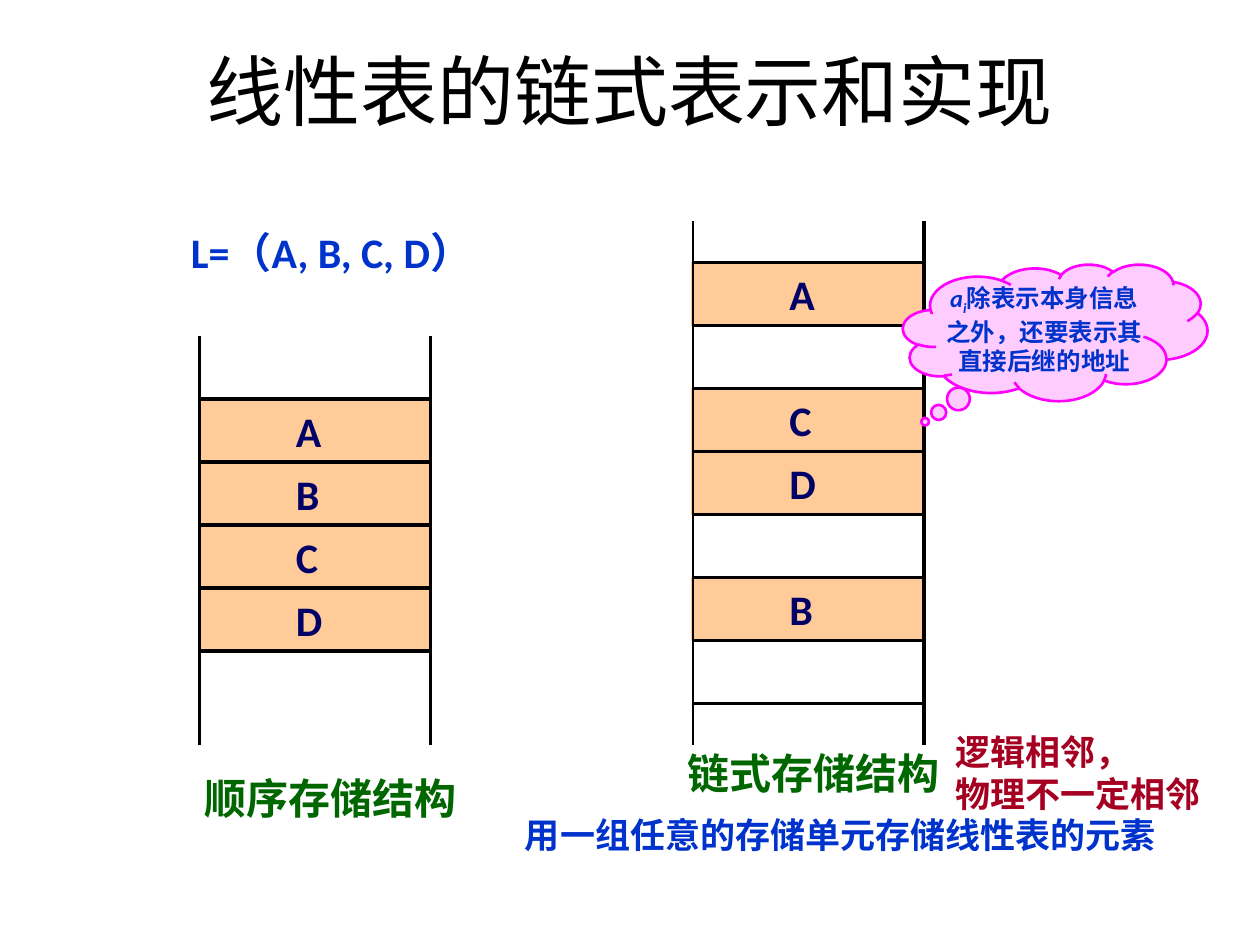
from dataclasses import dataclass

from lxml import etree
from pptx import Presentation
from pptx import util as u
from pptx.dml.color import RGBColor
from pptx.enum import shapes, text
from pptx.oxml import ns

BLACK = RGBColor(0x00, 0x00, 0x00)
NAVY = RGBColor(0x00, 0x00, 0x66)
BLUE = RGBColor(0x00, 0x33, 0xCC)
GREEN = RGBColor(0x00, 0x66, 0x00)
CRIMSON = RGBColor(0xA5, 0x00, 0x21)
PEACH = RGBColor(0xFF, 0xCC, 0x99)
PINK = RGBColor(0xFF, 0xCC, 0xFF)
MAGENTA = RGBColor(0xFF, 0x00, 0xFF)

LATIN = "Calibri"
CHINESE = "Noto Sans CJK SC"
COLUMN_WIDTH = 132
CELL_HEIGHT = 36
COLUMN_BOTTOM = 426


@dataclass(frozen=True)
class Memory:
    left: float
    top: float
    first_rule: float
    cells: str
    caption: str
    caption_left: float
    caption_top: float
    letter_offset: float


@dataclass(frozen=True)
class Label:
    words: str
    left: float
    top: float
    width: float
    height: float
    size: float
    color: RGBColor
    font: str = LATIN
    bold: bool = True
    centered: bool = False
    inset: bool = True


MEMORIES = [
    Memory(114, 192, 228, "ABCD", "顺序存储结构", 78, 438, 48),
    Memory(396, 126, 150, "A CD B ", "链式存储结构", 354, 423.5, 48),
]

LABELS = [
    Label("L=（A, B, C, D）", 102, 126, 234, 36, 24, BLUE),
    Label("用一组任意的存储单元存储线性表的元素", 300, 465, 400, 24, 20, BLUE,
          CHINESE, inset=False),
    Label("逻辑相邻，\n物理不一定相邻", 546, 417.5, 162, 48, 20, CRIMSON,
          CHINESE, inset=False),
    Label("线性表的链式表示和实现", 36, 21.6, 648, 90, 44, BLACK,
          CHINESE, bold=False, centered=True),
]


def style_run(span, size: float, color: RGBColor, font: str, bold: bool = True) -> None:
    span.font.size = u.Pt(size)
    span.font.bold = bold
    span.font.name = font
    span.font.color.rgb = color
    east_asian = etree.SubElement(span.font._element, ns.qn("a:ea"))
    east_asian.set("typeface", CHINESE)


def set_insets(frame, horizontal: float, vertical: float) -> None:
    frame.margin_left = frame.margin_right = u.Pt(horizontal)
    frame.margin_top = frame.margin_bottom = u.Pt(vertical)


def draw_label(page, label: Label) -> None:
    box = page.shapes.add_textbox(u.Pt(label.left), u.Pt(label.top),
                                  u.Pt(label.width), u.Pt(label.height))
    frame = box.text_frame
    frame.word_wrap = True
    set_insets(frame, *((7.2, 3.6) if label.inset else (0, 0)))
    frame.text = label.words
    for para in frame.paragraphs:
        para.alignment = text.PP_ALIGN.CENTER if label.centered else text.PP_ALIGN.LEFT
        for span in para.runs:
            style_run(span, label.size, label.color, label.font, label.bold)


def draw_shape(page, kind, left: float, top: float, width: float, height: float,
               fill: RGBColor, outline: RGBColor, weight: float):
    shape = page.shapes.add_shape(kind, u.Pt(left), u.Pt(top), u.Pt(width), u.Pt(height))
    shape.shadow.inherit = False
    shape.fill.solid()
    shape.fill.fore_color.rgb = fill
    shape.line.color.rgb = outline
    shape.line.width = u.Pt(weight)
    return shape


def draw_line(page, x1: float, y1: float, x2: float, y2: float, weight: float = 1.75) -> None:
    line = page.shapes.add_connector(shapes.MSO_CONNECTOR.STRAIGHT,
                                     u.Pt(x1), u.Pt(y1), u.Pt(x2), u.Pt(y2))
    line.line.color.rgb = BLACK
    line.line.width = u.Pt(weight)
    etree.SubElement(line._element.spPr, ns.qn("a:effectLst"))


def draw_memory(page, memory: Memory) -> None:
    right = memory.left + COLUMN_WIDTH
    filled = [(memory.first_rule + row * CELL_HEIGHT, letter)
              for row, letter in enumerate(memory.cells) if letter != " "]
    for top, _ in filled:
        draw_shape(page, shapes.MSO_SHAPE.RECTANGLE, memory.left, top,
                   COLUMN_WIDTH, CELL_HEIGHT, PEACH, PEACH, 1.75)
    draw_line(page, memory.left, memory.top, memory.left, COLUMN_BOTTOM, 1.5)
    draw_line(page, right, memory.top, right, COLUMN_BOTTOM)
    for row in range(len(memory.cells) + 1):
        rule = memory.first_rule + row * CELL_HEIGHT
        draw_line(page, memory.left, rule, right, rule)
    for top, letter in filled:
        draw_label(page, Label(letter, memory.left + memory.letter_offset, top,
                               36, CELL_HEIGHT, 24, NAVY))
    draw_label(page, Label(memory.caption, memory.caption_left, memory.caption_top,
                           222, 36, 24, GREEN, centered=True))


def draw_cloud(page) -> None:
    cloud = draw_shape(page, shapes.MSO_SHAPE.CLOUD_CALLOUT, 516, 151, 174, 78,
                       PINK, MAGENTA, 1.5)
    cloud.adjustments[0] = -0.427
    cloud.adjustments[1] = 0.654
    frame = cloud.text_frame
    frame.word_wrap = True
    frame.vertical_anchor = text.MSO_ANCHOR.MIDDLE
    set_insets(frame, 0, 0)
    para = frame.paragraphs[0]
    para.alignment = text.PP_ALIGN.CENTER
    for words, font, italic in (("a", LATIN, True), ("i", LATIN, True),
                                ("除表示本身信息之外，还要表示其直接后继的地址", "Arial", False)):
        span = para.add_run()
        span.text = words
        style_run(span, 14, BLUE, font)
        span.font.italic = italic
    para.runs[1].font._element.set("baseline", "-25000")


def main() -> None:
    deck = Presentation()
    deck.slide_width, deck.slide_height = u.Pt(720), u.Pt(540)
    page = deck.slides.add_slide(deck.slide_layouts[6])
    for memory in MEMORIES:
        draw_memory(page, memory)
    for label in LABELS:
        draw_label(page, label)
    draw_cloud(page)
    deck.save("out.pptx")


if __name__ == "__main__":
    main()
